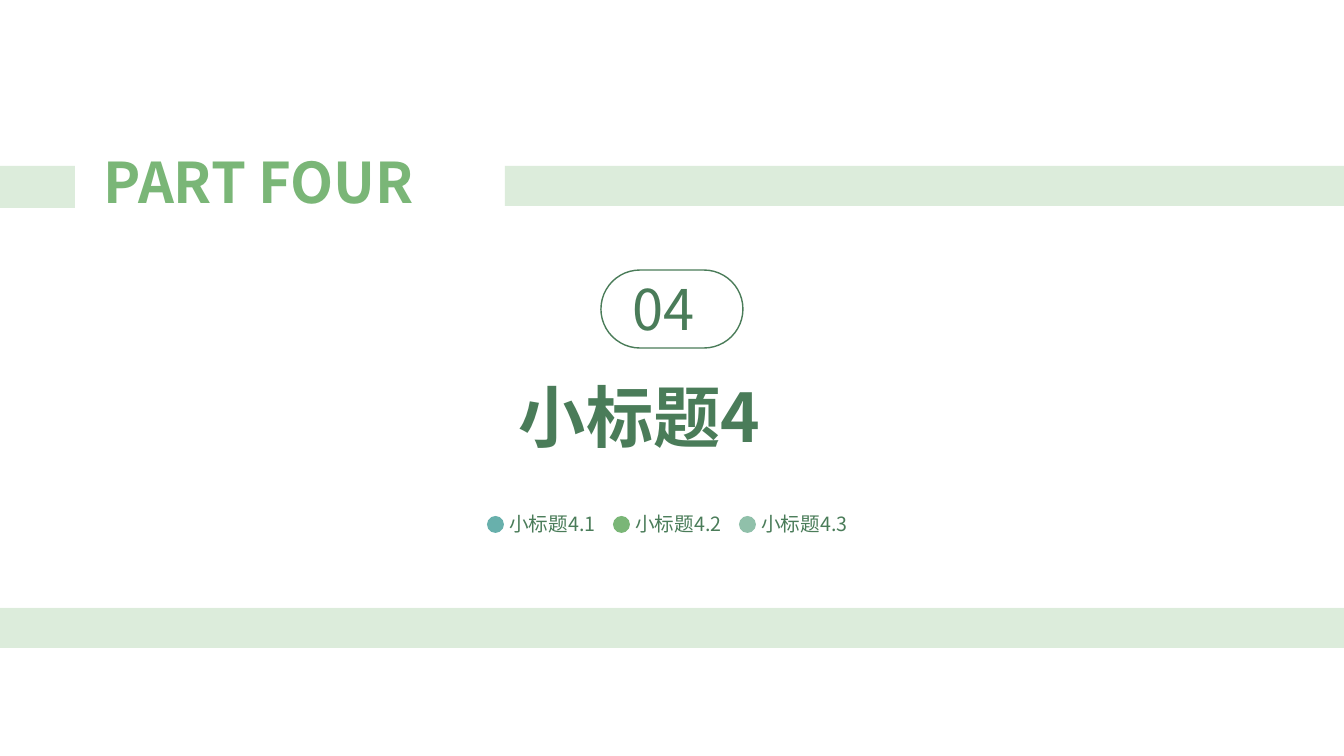
from lxml.etree import SubElement
from pptx import Presentation
from pptx.dml.color import RGBColor
from pptx.enum.shapes import MSO_SHAPE as Shape
from pptx.enum.text import MSO_AUTO_SIZE as AutoSize, PP_ALIGN as Align
from pptx.oxml.ns import qn
from pptx.util import Emu, Pt

PX_PER_INCH = 100.8
FONT = "Noto Sans CJK SC"
WHITE = RGBColor(0xFF, 0xFF, 0xFF)
LEAF = RGBColor(0x7A, 0xB6, 0x77)
FOREST = RGBColor(0x4A, 0x7C, 0x59)
TEAL = RGBColor(0x68, 0xB0, 0xAC)
SAGE = RGBColor(0x90, 0xC0, 0xAA)

TOPIC_LEFT, TOPIC_STEP = 487, 126


def px(length):
    return Emu(round(length * 914400 / PX_PER_INCH))


def add_filled(page, kind, bounds, color, opacity=100):
    shape = page.shapes.add_shape(kind, *map(px, bounds))
    shape.shadow.inherit = False
    shape.line.fill.background()
    shape.fill.solid()
    shape.fill.fore_color.rgb = color
    if opacity < 100:
        tint = shape.fill._xPr.find(".//" + qn("a:srgbClr"))
        SubElement(tint, qn("a:alpha"), val=str(opacity * 1000))


def add_band(page, *bounds):
    add_filled(page, Shape.RECTANGLE, bounds, LEAF, 26)


def add_pill(page, *bounds):
    pill = page.shapes.add_shape(Shape.ROUNDED_RECTANGLE, *map(px, bounds))
    pill.adjustments[0] = 0.5
    pill.shadow.inherit = False
    pill.fill.background()
    pill.line.color.rgb = FOREST
    pill.line.width = Pt(1)


def add_text(page, text, bounds, size, color=FOREST, bold=False, align=Align.JUSTIFY):
    frame = page.shapes.add_textbox(*map(px, bounds)).text_frame
    frame.word_wrap = True
    frame.auto_size = AutoSize.SHAPE_TO_FIT_TEXT
    para = frame.paragraphs[0]
    para.text = text
    para.alignment = align
    font = para.font
    font.name = FONT
    font.size = Pt(size)
    font.bold = bold
    font.color.rgb = color
    defaults = para._p.pPr.find(qn("a:defRPr"))
    SubElement(defaults, qn("a:ea"), typeface=FONT)


def add_topic(page, index, color):
    left = TOPIC_LEFT + index * TOPIC_STEP
    add_text(page, f"小标题4.{index + 1}", (left + 12, 507, 107, 34), 14, align=Align.CENTER)
    add_filled(page, Shape.OVAL, (left, 516, 17, 17), color)


def main():
    deck = Presentation()
    deck.slide_width, deck.slide_height = px(1344), px(756)
    page = deck.slides.add_slide(deck.slide_layouts[6])

    add_band(page, 0, 608, 1344, 40)
    add_filled(page, Shape.RECTANGLE, (0, 206, 1344, 402), WHITE, 52)
    add_band(page, 505, 166, 839, 40)
    add_text(page, "PART FOUR", (94, 143, 392, 78), 40, LEAF, bold=True)
    add_band(page, 0, 166, 75, 42)

    add_text(page, "小标题4", (509, 370, 327, 92), 48, bold=True)
    add_text(page, "04", (623, 270, 99, 78), 40)
    add_pill(page, 601, 270, 142, 78)

    for index, color in enumerate((TEAL, LEAF, SAGE)):
        add_topic(page, index, color)

    deck.save("out.pptx")


if __name__ == "__main__":
    main()
